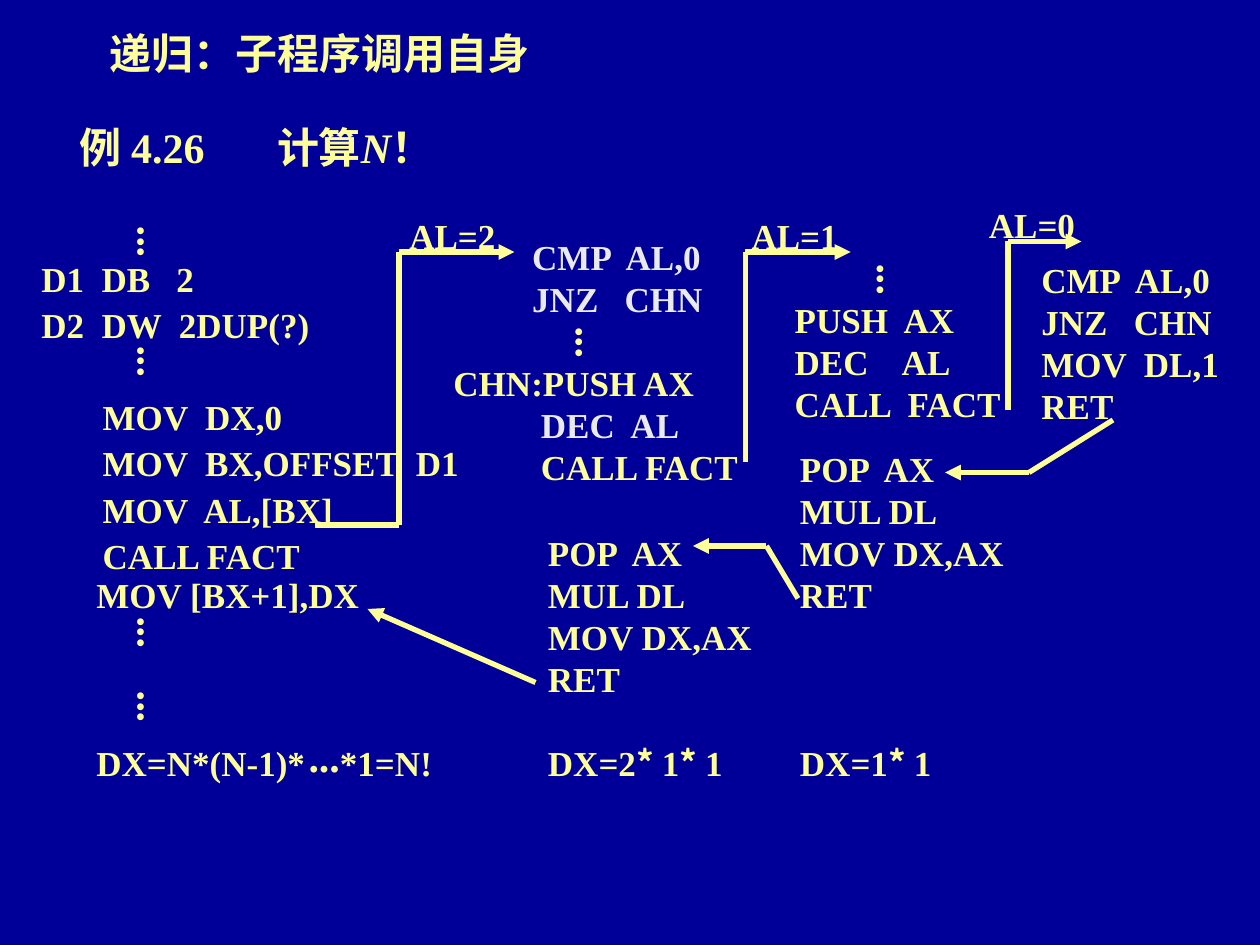
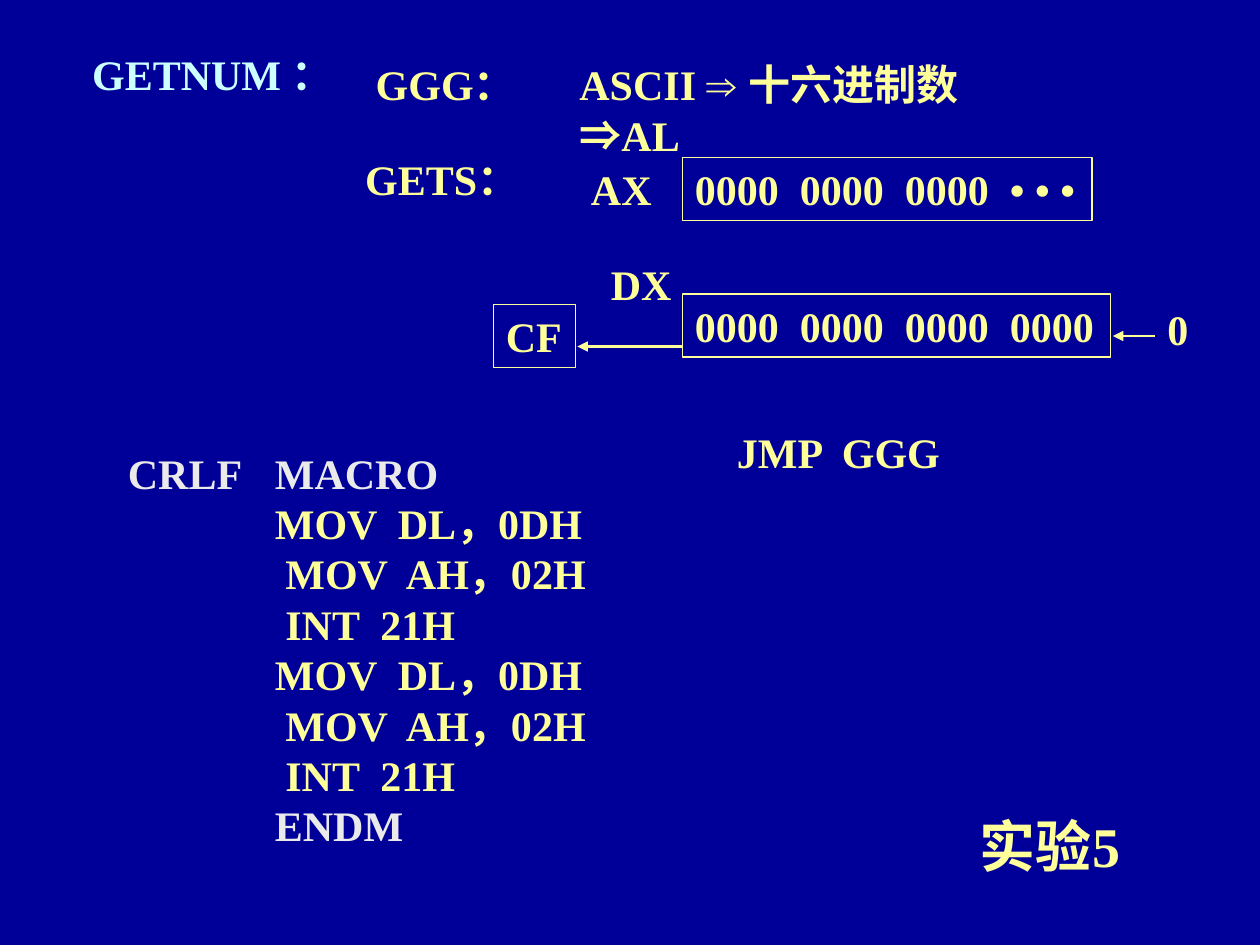
from lxml.etree import SubElement
from pptx import Presentation
from pptx.dml.color import RGBColor
from pptx.enum.shapes import MSO_CONNECTOR, MSO_SHAPE
from pptx.enum.text import MSO_ANCHOR, MSO_AUTO_SIZE, PP_ALIGN
from pptx.oxml.ns import qn
from pptx.util import Inches, Pt

COLUMNS, ROWS = 120, 90
CELL = Inches(10) / COLUMNS
NAVY, YELLOW, PALE, CYAN = "000099", "FFFF99", "EAEAEA", "CCFFFF"
LATIN, CHINESE, SYMBOL = "Times New Roman", "Noto Sans CJK SC", "Arial"
CODE, HEADING, CAPTION = 20, 24, 32
RESULT_ROW = 70


def color(hex_string):
    return RGBColor.from_string(hex_string)


def cells(*counts):
    return [round(count * CELL) for count in counts]


def box_height(line_count, size, spacing=1):
    return line_count * size / 5 * spacing + 1.2


def format_run(run, size, hex_string, name=LATIN, italic=False):
    font = run.font
    font.size, font.bold, font.italic, font.name = Pt(size), True, italic, name
    font.color.rgb = color(hex_string)
    SubElement(run._r.get_or_add_rPr(), qn("a:ea")).set("typeface", CHINESE)


def write(text_frame, lines, size, hex_string=YELLOW, spacing=1,
          align=PP_ALIGN.LEFT):
    for index, line in enumerate(lines):
        paragraph = text_frame.paragraphs[0] if index == 0 else text_frame.add_paragraph()
        paragraph.alignment = align
        paragraph.line_spacing = spacing
        for piece in [line] if isinstance(line, str) else line:
            text, changes = (piece, {}) if isinstance(piece, str) else piece
            run = paragraph.add_run()
            run.text = text
            format_run(run, **{"size": size, "hex_string": hex_string, **changes})


def set_frame(text_frame, anchor=MSO_ANCHOR.TOP, auto_size=MSO_AUTO_SIZE.SHAPE_TO_FIT_TEXT):
    text_frame.word_wrap = False
    text_frame.vertical_anchor = anchor
    text_frame.auto_size = auto_size


def add_title(slide, column, row, width, height, text, size, align):
    title = slide.shapes.title
    title.left, title.top, title.width, title.height = cells(column, row, width, height)
    set_frame(title.text_frame, MSO_ANCHOR.MIDDLE, MSO_AUTO_SIZE.NONE)
    write(title.text_frame, [text], size, align=align)


def add_text(slide, column, row, width, lines, size=CODE, hex_string=YELLOW, spacing=1):
    height = box_height(len(lines), size, spacing)
    shape = slide.shapes.add_textbox(*cells(column, row, width, height))
    set_frame(shape.text_frame)
    write(shape.text_frame, lines, size, hex_string, spacing)
    return shape


def add_dots(slide, column, row, rotation=270):
    add_text(slide, column, row, 5.4, ["..."], HEADING).rotation = rotation


def add_register(slide, column, row, width, text):
    shape = slide.shapes.add_shape(
        MSO_SHAPE.RECTANGLE, *cells(column, row, width, box_height(1, HEADING)))
    shape.shadow.inherit = False
    shape.fill.background()
    shape.line.color.rgb = color(YELLOW)
    shape.line.width = Pt(0.75)
    set_frame(shape.text_frame)
    write(shape.text_frame, [text], HEADING)


def add_route(slide, points, width=3):
    for start, end in zip(points, points[1:]):
        connector = slide.shapes.add_connector(
            MSO_CONNECTOR.STRAIGHT, *cells(*start, *end))
        connector.line.color.rgb = color(YELLOW)
        connector.line.width = Pt(width)
        if end == points[-1]:
            SubElement(connector.line._get_or_add_ln(), qn("a:tailEnd")).set("type", "triangle")
        SubElement(connector._element.spPr, qn("a:effectLst"))


def build_recursion(slide):
    add_title(slide, 9.25, 2, 42.4, 6, "递归：子程序调用自身", HEADING, PP_ALIGN.LEFT)
    add_text(slide, 6.4, 11, 17, ["例 4.26"], HEADING)
    add_text(slide, 25.2, 11, 26, [["计算", ("N", {"italic": True}), "！"]], HEADING)

    add_text(slide, 2.75, 23.5, 28, ["D1  DB   2", "D2  DW  2DUP(?)"], spacing=1.1)
    add_text(slide, 8.6, 36.7, 36.4, [
        "MOV  DX,0", "MOV  BX,OFFSET  D1", "MOV  AL,[BX]", "CALL FACT"], spacing=1.1)
    add_text(slide, 8, 54, 34.3, ["MOV [BX+1],DX"])

    add_text(slide, 49.5, 21.8, 22.4, ["CMP  AL,0", "JNZ   CHN"], hex_string=PALE)
    add_text(slide, 42, 33.8, 29.9, [
        "CHN:PUSH AX",
        [("          DEC  AL", {"hex_string": PALE})],
        "          CALL FACT"])
    add_text(slide, 74.5, 27.8, 22.4, ["PUSH  AX", "DEC    AL", "CALL  FACT"])
    add_text(slide, 98, 24, 19.3, ["CMP  AL,0", "JNZ   CHN", "MOV  DL,1", "RET"])

    unwinding = ["POP  AX", "MUL DL", "MOV DX,AX", "RET"]
    for column, row in ((75, 42), (51, 50)):
        add_text(slide, column, row, 22, unwinding)

    times = ("* ", {"name": CHINESE})
    add_text(slide, 8, RESULT_ROW, 23, ["DX=N*(N-1)*"])
    add_dots(slide, 28.2, RESULT_ROW - 1, 0)
    add_text(slide, 31.2, RESULT_ROW, 12, ["*1=N!"])
    add_text(slide, 51, RESULT_ROW, 22, [["DX=2", times, "1", times, "1"]])
    add_text(slide, 75, RESULT_ROW, 22, [["DX=1", times, "1"]])

    for row in (20, 31.4, 57.2, 64.3):
        add_dots(slide, 9.35, row)
    add_dots(slide, 51.1, 29.6)
    add_dots(slide, 79.8, 23.6)

    for column, row, label in ((37.8, 19.8, "AL=2"), (70.4, 19.8, "AL=1"), (93, 18.8, "AL=0")):
        add_text(slide, column, row, 10.6, [label])
    for points in (
        [(30, 50), (38, 50), (38, 24), (49, 24)],
        [(71, 44), (71, 24), (81, 24)],
        [(96, 39), (96, 23), (103, 23)],
        [(106, 40), (98, 45), (90, 45)],
        [(76, 57), (73, 52), (66, 52)],
        [(51, 65), (35, 58)],
    ):
        add_route(slide, points)


def build_experiment(slide):
    add_title(slide, 89, 77, 22, 7, "实验5", CAPTION, PP_ALIGN.CENTER)
    add_text(slide, 7.6, 4, 29, ["GETNUM ："], HEADING, CYAN)
    for column, row, width, label in (
        (34.6, 5, 16.7, "GGG："), (33.6, 14, 18, "GETS："),
        (55.1, 15, 11.2, "AX"), (57, 24, 11.2, "DX"),
        (110, 28.3, 4.3, "0"), (69, 40, 22, "JMP  GGG"),
    ):
        add_text(slide, column, row, width, [label], HEADING)
    arrow = ("⇒ ", {"name": SYMBOL})
    target_arrow = ("⇒", {"name": CHINESE})
    add_text(slide, 54, 5, 44, [
        ["ASCII ", arrow, "十六进制数 ", target_arrow, "AL"]], HEADING)

    add_register(slide, 65, 15, 39, "0000  0000  0000  • • •")
    add_register(slide, 65, 28, 40.8, "0000  0000  0000  0000")
    add_register(slide, 47, 29, 7.8, "CF")
    add_route(slide, [(110, 32), (106, 32)], 1.5)
    add_route(slide, [(65, 33), (55, 33)], 1.5)

    add_text(slide, 11, 42, 16, ["CRLF"], HEADING, PALE)
    print_character = ["MOV  DL，0DH", " MOV  AH，02H", " INT  21H"]
    keywords = [[(word, {"hex_string": PALE})] for word in ("MACRO", "ENDM")]
    add_text(slide, 25, 42, 34, [keywords[0], *print_character * 2, keywords[1]], HEADING)


def main():
    presentation = Presentation()
    presentation.slide_width, presentation.slide_height = cells(COLUMNS, ROWS)
    background = presentation.slide_master.background.fill
    background.solid()
    background.fore_color.rgb = color(NAVY)
    title_only = presentation.slide_layouts[5]
    for build in (build_recursion, build_experiment):
        build(presentation.slides.add_slide(title_only))
    presentation.save("out.pptx")


if __name__ == "__main__":
    main()
